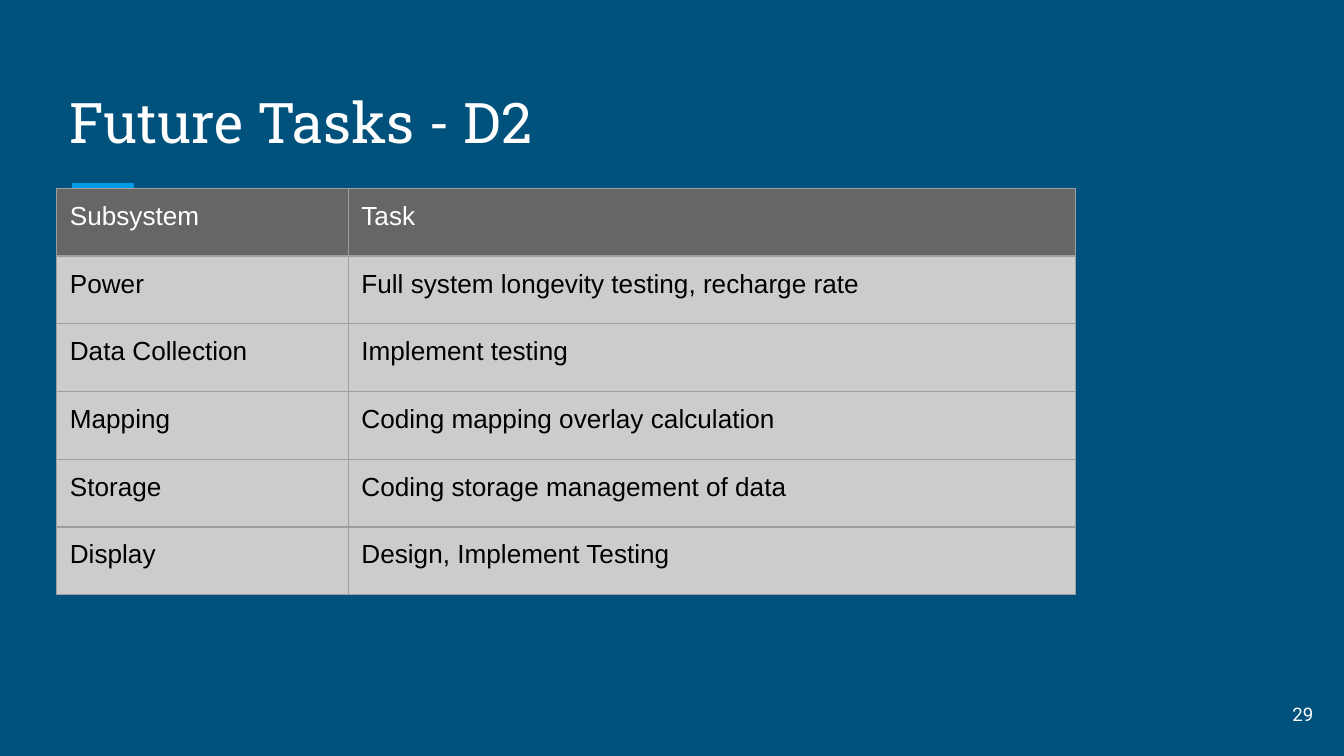
from dataclasses import dataclass

from lxml import etree
from pptx import Presentation
from pptx.dml.color import RGBColor
from pptx.enum.shapes import MSO_CONNECTOR
from pptx.enum.text import MSO_ANCHOR, PP_ALIGN
from pptx.oxml.ns import qn
from pptx.util import Cm, Pt

NAVY = RGBColor(0x00, 0x51, 0x7C)
BLUE = RGBColor(0x03, 0x9B, 0xE5)
WHITE = RGBColor(0xFF, 0xFF, 0xFF)
BLACK = RGBColor(0x00, 0x00, 0x00)
DARK_GRAY = RGBColor(0x66, 0x66, 0x66)
LIGHT_GRAY = RGBColor(0xCC, 0xCC, 0xCC)
BORDER_GRAY = RGBColor(0x9E, 0x9E, 0x9E)

STRAIGHT = MSO_CONNECTOR.STRAIGHT
TOP, MIDDLE, BOTTOM = MSO_ANCHOR.TOP, MSO_ANCHOR.MIDDLE, MSO_ANCHOR.BOTTOM
LEFT, RIGHT = PP_ALIGN.LEFT, PP_ALIGN.RIGHT

BLANK_LAYOUT = 6
INSET = Cm(0.25)
MARGINS = {f"margin_{side}": INSET for side in ("left", "top", "right", "bottom")}
COL_WIDTHS = (5.51, 13.74)
ROW_HEIGHT = 1.28
TASKS = (
    ("Subsystem", "Task"),
    ("Power", "Full system longevity testing, recharge rate"),
    ("Data Collection", "Implement testing"),
    ("Mapping", "Coding mapping overlay calculation"),
    ("Storage", "Coding storage management of data"),
    ("Display", "Design, Implement Testing"),
)


@dataclass(frozen=True)
class Label:
    """A text box, with its place in centimetres."""
    text: str
    left: float
    top: float
    width: float
    height: float
    font: str
    size: float
    anchor: MSO_ANCHOR
    align: PP_ALIGN


LABELS = (
    Label("Future Tasks - D2", 1.07, 1.27, 23.24, 1.9, "Roboto Slab", 30, BOTTOM, LEFT),
    Label("29", 23.55, 12.95, 1.52, 1.09, "Roboto", 10, MIDDLE, RIGHT),
)


def set_attrs(target: object, values: dict) -> None:
    for name, value in values.items():
        setattr(target, name, value)


def write_text(tf, text: str, font: str, size: float, color: RGBColor,
               align: PP_ALIGN = LEFT) -> None:
    p = tf.paragraphs[0]
    p.alignment = align
    r = p.add_run()
    r.text = text
    set_attrs(r.font, {"name": font, "size": Pt(size)})
    r.font.color.rgb = color


def add_label(slide, label: Label) -> None:
    sp = slide.shapes.add_textbox(
        Cm(label.left), Cm(label.top), Cm(label.width), Cm(label.height))
    tf = sp.text_frame
    set_attrs(tf, {"word_wrap": True, "vertical_anchor": label.anchor, **MARGINS})
    write_text(tf, label.text, label.font, label.size, WHITE, label.align)


def add_accent(slide) -> None:
    line = slide.shapes.add_connector(STRAIGHT, Cm(1.37), Cm(3.51), Cm(2.54), Cm(3.51))
    line.line.color.rgb = BLUE
    line.line.width = Pt(3)
    etree.SubElement(line._element.spPr, qn("a:effectLst"))


def add_borders(cell) -> None:
    tc_pr = cell._tc.get_or_add_tcPr()
    for tag in ("a:lnL", "a:lnR", "a:lnT", "a:lnB"):
        ln = etree.SubElement(tc_pr, qn(tag), w=str(Pt(0.75)))
        fill = etree.SubElement(ln, qn("a:solidFill"))
        etree.SubElement(fill, qn("a:srgbClr"), val=str(BORDER_GRAY))


def add_task_table(slide) -> None:
    table = slide.shapes.add_table(
        len(TASKS), len(COL_WIDTHS), Cm(1.07), Cm(3.56),
        Cm(sum(COL_WIDTHS)), Cm(ROW_HEIGHT * len(TASKS))).table
    for column, width in zip(table.columns, COL_WIDTHS):
        column.width = Cm(width)
    for i, texts in enumerate(TASKS):
        table.rows[i].height = Cm(ROW_HEIGHT)
        fill, color = (LIGHT_GRAY, BLACK) if i else (DARK_GRAY, WHITE)
        for j, text in enumerate(texts):
            cell = table.cell(i, j)
            set_attrs(cell, {"vertical_anchor": TOP, **MARGINS})
            # Borders must come before the fill in the cell properties
            add_borders(cell)
            cell.fill.solid()
            cell.fill.fore_color.rgb = fill
            write_text(cell.text_frame, text, "Arial", 14, color)


def main() -> None:
    prs = Presentation()
    set_attrs(prs, {"slide_width": Cm(25.4), "slide_height": Cm(14.29)})
    slide = prs.slides.add_slide(prs.slide_layouts[BLANK_LAYOUT])

    # Background
    background = slide.background.fill
    background.solid()
    background.fore_color.rgb = NAVY

    # Accent line, title and page number
    add_accent(slide)
    for label in LABELS:
        add_label(slide, label)

    # Tasks by subsystem
    add_task_table(slide)

    prs.save("out.pptx")


if __name__ == "__main__":
    main()
